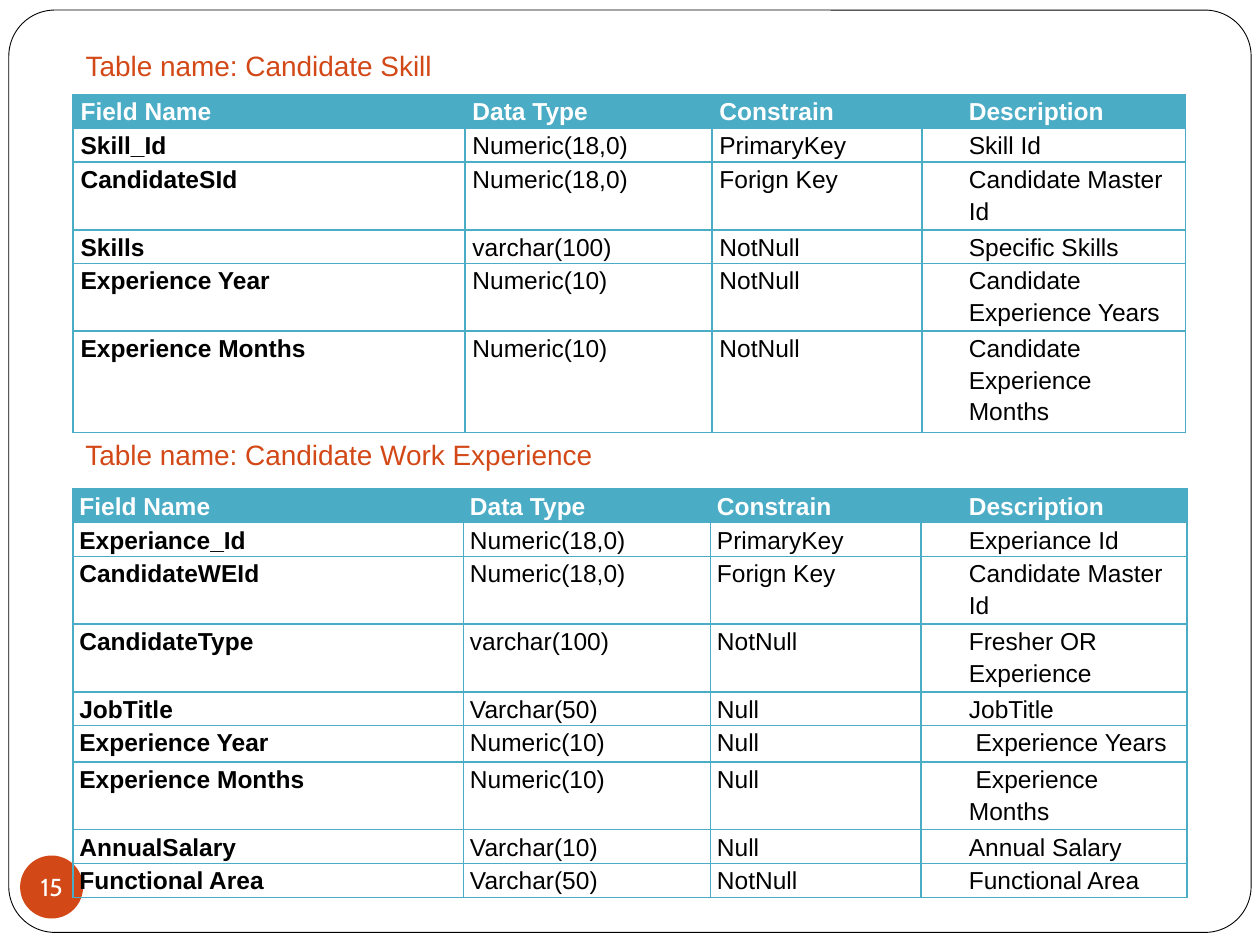
from dataclasses import dataclass

from lxml import etree
from pptx import Presentation
from pptx.dml.color import RGBColor
from pptx.enum.shapes import MSO_SHAPE
from pptx.enum.text import MSO_ANCHOR, MSO_AUTO_SIZE, PP_ALIGN
from pptx.oxml.ns import qn
from pptx.util import Inches, Pt

ROUNDED, OVAL = MSO_SHAPE.ROUNDED_RECTANGLE, MSO_SHAPE.OVAL
MIDDLE = MSO_ANCHOR.MIDDLE
LEFT, CENTER = PP_ALIGN.LEFT, PP_ALIGN.CENTER
FIT_TEXT = MSO_AUTO_SIZE.SHAPE_TO_FIT_TEXT
TITLE_ONLY = 5
SPACER = 3  # blank column that sets the description apart


@dataclass(frozen=True)
class Theme:
    accent: str = "D34817"
    grid: str = "4BACC6"
    white: str = "FFFFFF"
    black: str = "000000"
    font: str = "Arial"
    number_font: str = "Cabin"
    heading_size: int = 16
    body_size: int = 14
    line_spacing: float = 1.15
    border: int = 1


THEME = Theme()

HEADER = ("Field Name", "Data Type", "Constrain", "Description")
SKILL_FIELDS = [
    HEADER,
    ("Skill_Id", "Numeric(18,0)", "PrimaryKey", "Skill Id"),
    ("CandidateSId", "Numeric(18,0)", "Forign Key", "Candidate Master Id"),
    ("Skills", "varchar(100)", "NotNull", "Specific Skills"),
    ("Experience Year", "Numeric(10)", "NotNull", "Candidate Experience Years"),
    ("Experience Months", "Numeric(10)", "NotNull", "Candidate Experience Months"),
]
WORK_FIELDS = [
    HEADER,
    ("Experiance_Id", "Numeric(18,0)", "PrimaryKey", "Experiance Id"),
    ("CandidateWEId", "Numeric(18,0)", "Forign Key", "Candidate Master Id"),
    ("CandidateType", "varchar(100)", "NotNull", "Fresher OR Experience"),
    ("JobTitle", "Varchar(50)", "Null", "JobTitle"),
    ("Experience Year", "Numeric(10)", "Null", " Experience Years"),
    ("Experience Months", "Numeric(10)", "Null", " Experience Months"),
    ("AnnualSalary", "Varchar(10)", "Null", "Annual Salary"),
    ("Functional Area", "Varchar(50)", "NotNull", "Functional Area"),
]


def rgb(color):
    return RGBColor.from_string(color)


def add_run(paragraph, text, size, color, font=THEME.font, bold=False):
    run = paragraph.add_run()
    run.text = text
    run.font.name = font
    run.font.size = Pt(size)
    run.font.bold = bold
    run.font.color.rgb = rgb(color)


def add_plain_shape(slide, kind, left, top, width, height, fill):
    shape = slide.shapes.add_shape(
        kind, Inches(left), Inches(top), Inches(width), Inches(height))
    shape.shadow.inherit = False
    shape.fill.solid()
    shape.fill.fore_color.rgb = rgb(fill)
    return shape


def add_frame(slide):
    """Rounded page outline, placed behind everything else."""
    frame = add_plain_shape(slide, ROUNDED, 0.07, 0.08, 9.86, 7.32, THEME.white)
    frame.adjustments[0] = 0.05
    frame.line.color.rgb = rgb(THEME.black)
    frame.line.width = Pt(0.5)
    slide.shapes.title.element.addprevious(frame.element)


def add_page_number(slide, number):
    badge = add_plain_shape(slide, OVAL, 0.16, 6.79, 0.5, 0.5, THEME.accent)
    badge.line.fill.background()
    text = badge.text_frame
    text.margin_left = text.margin_right = text.margin_top = text.margin_bottom = 0
    text.word_wrap = False
    text.vertical_anchor = MIDDLE
    text.paragraphs[0].alignment = CENTER
    add_run(text.paragraphs[0], number, THEME.body_size, THEME.white, THEME.number_font)


def write_heading(heading, top, text):
    heading.left, heading.top = Inches(0.58), Inches(top)
    heading.width, heading.height = Inches(8.67), Inches(0.37)
    frame = heading.text_frame
    frame.word_wrap = True
    frame.auto_size = FIT_TEXT
    frame.vertical_anchor = MIDDLE
    frame.paragraphs[0].alignment = LEFT
    add_run(frame.paragraphs[0], text, THEME.heading_size, THEME.accent)


def set_borders(cell, open_side=None):
    """Draw all four sides of a cell except open_side."""
    properties = cell._tc.get_or_add_tcPr()
    for side in ("lnL", "lnR", "lnT", "lnB"):
        line = etree.SubElement(properties, qn(f"a:{side}"), w=str(Pt(THEME.border)))
        if side == open_side:
            etree.SubElement(line, qn("a:noFill"))
        else:
            fill = etree.SubElement(line, qn("a:solidFill"))
            etree.SubElement(fill, qn("a:srgbClr"), val=THEME.grid)


def format_cell(cell, text, column, is_header, side_margin):
    set_borders(cell, {SPACER: "lnR", SPACER + 1: "lnL"}.get(column))
    if is_header:
        cell.fill.solid()
        cell.fill.fore_color.rgb = rgb(THEME.grid)
    else:
        cell.fill.background()
    cell.margin_left = cell.margin_right = Inches(side_margin)
    cell.margin_top = cell.margin_bottom = 0
    paragraph = cell.text_frame.paragraphs[0]
    paragraph.line_spacing = THEME.line_spacing
    if text:
        add_run(paragraph, text, THEME.body_size,
                THEME.white if is_header else THEME.black,
                bold=is_header or column == 0)
    else:  # keeps the blank cell from stretching its row
        etree.SubElement(paragraph._p, qn("a:endParaRPr"), sz=str(THEME.body_size * 100))


def add_field_table(slide, top, fields, column_widths, row_heights, side_margin):
    table = slide.shapes.add_table(
        len(fields), len(column_widths), Inches(0.58), Inches(top),
        Inches(sum(column_widths)), Inches(sum(row_heights))).table
    table.first_row = table.horz_banding = False
    for column, width in zip(table.columns, column_widths):
        column.width = Inches(width)
    for index, (row, height, values) in enumerate(zip(table.rows, row_heights, fields)):
        row.height = Inches(height)
        texts = values[:SPACER] + ("",) + values[SPACER:]
        for column, (cell, text) in enumerate(zip(row.cells, texts)):
            format_cell(cell, text, column, index == 0, side_margin)


def main():
    deck = Presentation()
    deck.slide_width, deck.slide_height = Inches(10), Inches(7.5)
    slide = deck.slides.add_slide(deck.slide_layouts[TITLE_ONLY])

    add_frame(slide)
    add_page_number(slide, "15")
    write_heading(slide.shapes.title, 0.33, "Table name: Candidate Skill")
    add_field_table(slide, 0.75, SKILL_FIELDS, (3.11, 1.96, 1.67, 0.31, 1.78),
                    (0.26, 0.26, 0.51, 0.26, 0.53, 0.75), 0.06)
    work_heading = slide.shapes.add_textbox(0, 0, 0, 0)
    write_heading(work_heading, 3.42, "Table name: Candidate Work Experience")
    add_field_table(slide, 3.88, WORK_FIELDS, (3.1, 1.96, 1.67, 0.33, 1.78),
                    (0.26, 0.26, 0.52, 0.52, 0.26, 0.29, 0.52, 0.26, 0.26), 0.05)
    deck.save("out.pptx")


if __name__ == "__main__":
    main()
